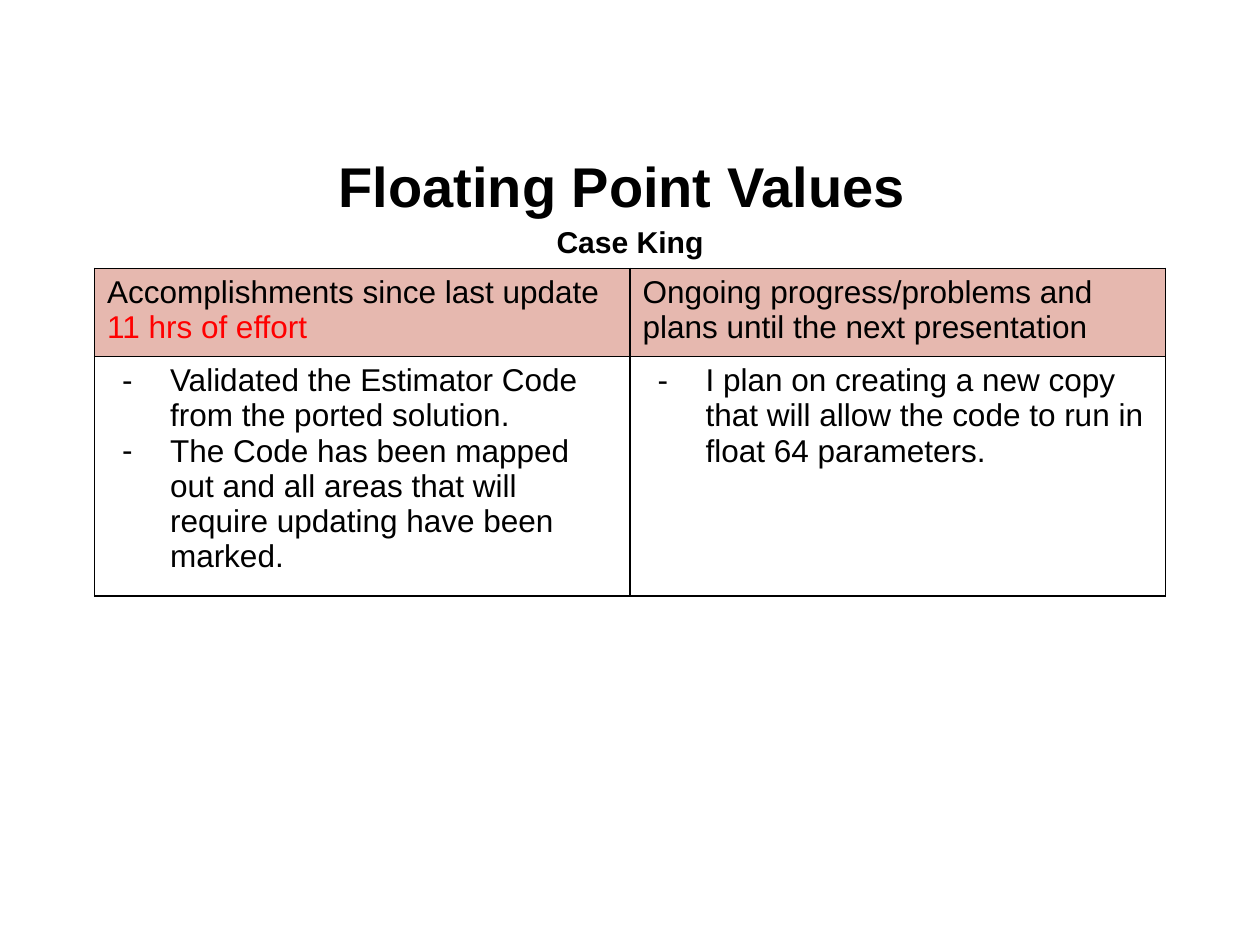
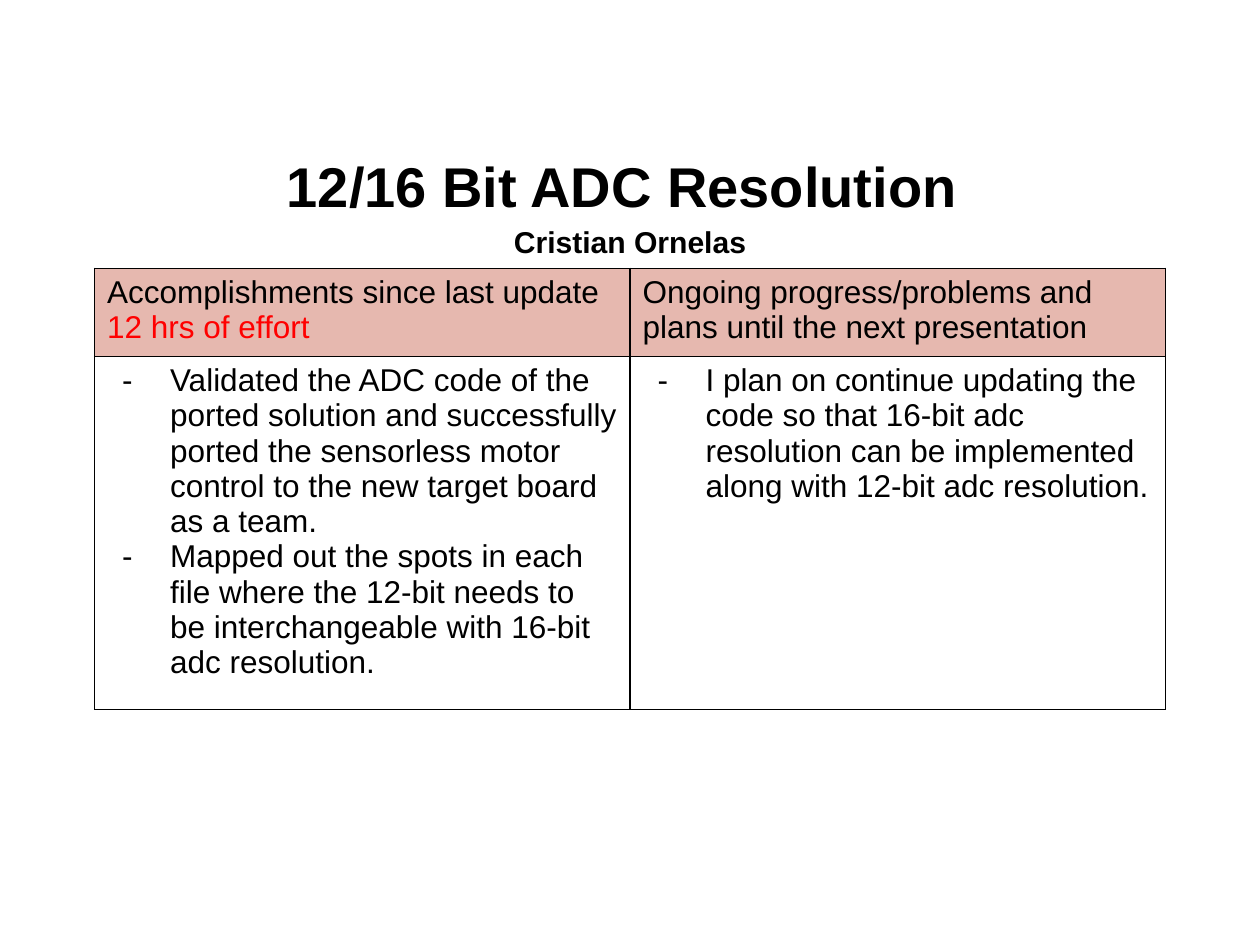
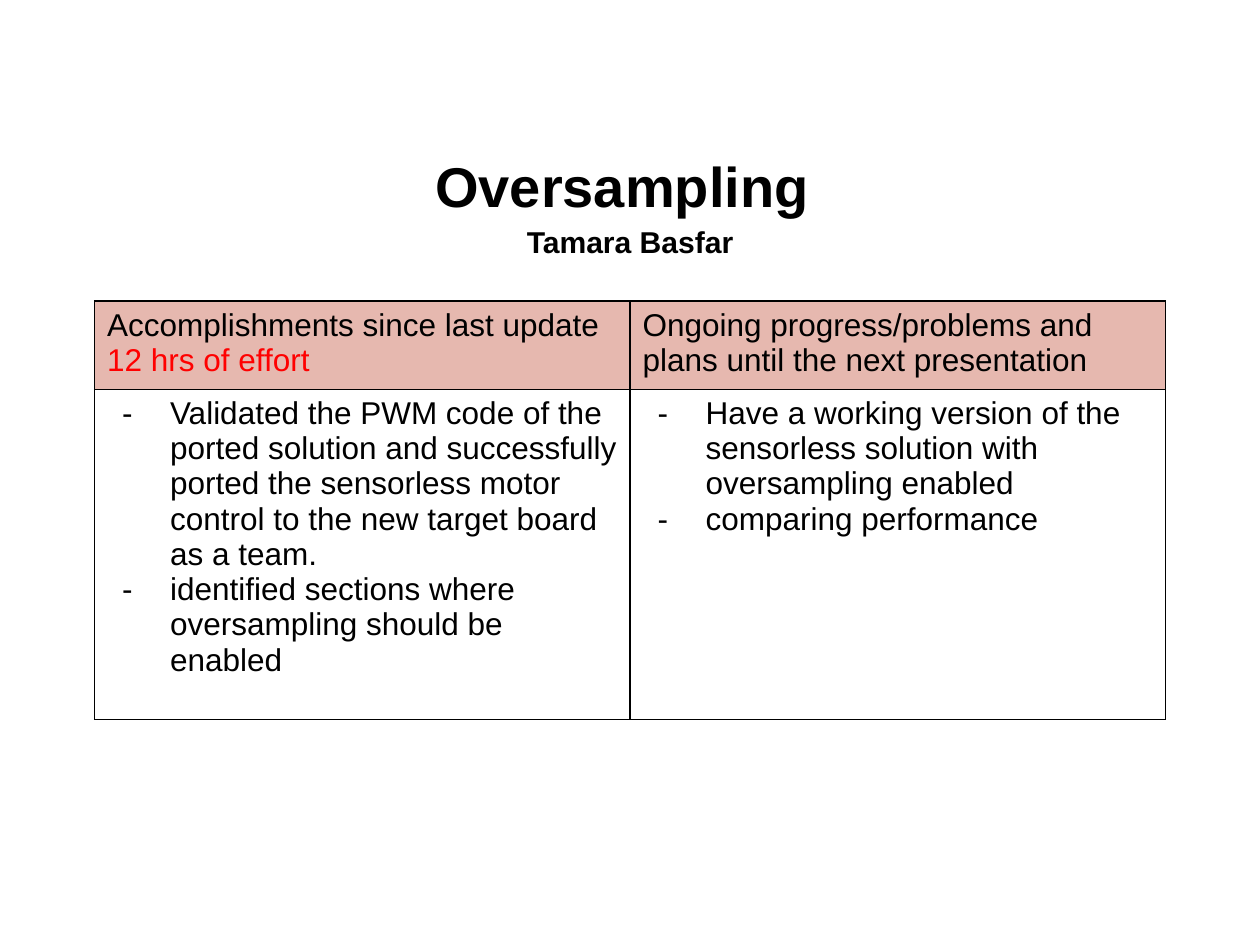
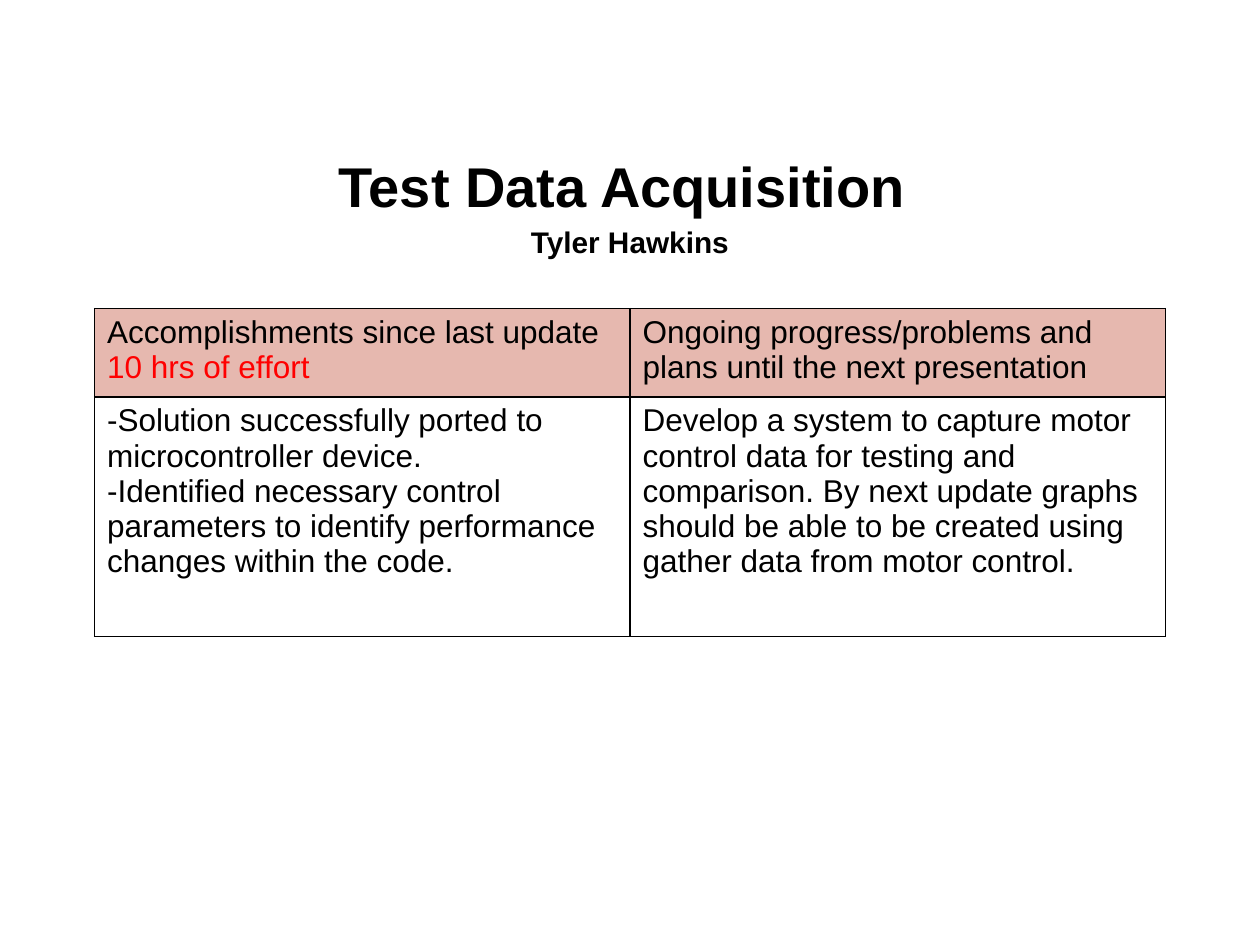
from dataclasses import dataclass

from lxml import etree
from pptx import Presentation
from pptx.dml.color import RGBColor
from pptx.enum.text import MSO_ANCHOR, PP_ALIGN
from pptx.oxml.ns import qn
from pptx.util import Inches, Pt

CENTER = PP_ALIGN.CENTER
MIDDLE = MSO_ANCHOR.MIDDLE
BLANK_LAYOUT = 6


@dataclass(frozen=True)
class Theme:
    font: str = "Arial"
    text: str = "000000"
    effort: str = "FF0000"
    header_fill: str = "E6B8AF"
    border: str = "000000"
    title_size: float = 32
    name_size: float = 17.2
    table_size: float = 18
    border_width: float = 1


@dataclass(frozen=True)
class Update:
    title: str
    name: str
    hours: int
    done: tuple
    plans: tuple
    table_top: float = 2.13
    body_height: float = 1.9
    bulleted: bool = True
    name_size: float = Theme.name_size


THEME = Theme()
PLANS_HEADING = "Ongoing progress/problems and plans until the next presentation"

UPDATES = (
    Update(
        "Floating Point Values ", "Case King", 11,
        ("Validated the Estimator Code from the ported solution.",
         "The Code has been mapped out and all areas that will require "
         "updating have been marked."),
        ("I plan on creating a new copy that will allow the code to run in "
         "float 64 parameters.",),
    ),
    Update(
        "12/16 Bit ADC Resolution ", "Cristian Ornelas", 12,
        ("Validated the ADC code of the ported solution and successfully "
         "ported the sensorless motor control to the new target board as a team.",
         "Mapped out the spots in each file where the 12-bit needs to be "
         "interchangeable with 16-bit adc resolution."),
        ("I plan on continue updating the code so that 16-bit adc resolution "
         "can be implemented along with 12-bit adc resolution.",),
    ),
    Update(
        "Oversampling ", "Tamara Basfar", 12,
        ("Validated the PWM code of the ported solution and successfully "
         "ported the sensorless motor control to the new target board as a team.",
         "identified sections where oversampling should be enabled"),
        ("Have a working version of the sensorless solution with "
         "oversampling enabled",
         "comparing performance"),
        table_top=2.39, body_height=2.62,
    ),
    Update(
        "Test Data Acquisition ", "Tyler Hawkins", 10,
        ("-Solution successfully ported to microcontroller device.",
         "-Identified necessary control parameters to identify performance "
         "changes within the code."),
        ("Develop a system to capture motor control data for testing and "
         "comparison. By next update graphs should be able to be created "
         "using gather data from motor control.",),
        table_top=2.45, bulleted=False, name_size=17,
    ),
)


def set_attributes(target, values):
    for name, value in values.items():
        setattr(target, name, value)


def add_run(paragraph, text, size, color=THEME.text, bold=False):
    run = paragraph.add_run()
    run.text = text
    set_attributes(run.font, {"name": THEME.font, "size": Pt(size), "bold": bold})
    run.font.color.rgb = RGBColor.from_string(color)


def add_color(parent, color):
    etree.SubElement(parent, qn("a:srgbClr"), val=color)


def add_dash(paragraph):
    properties = paragraph._p.get_or_add_pPr()
    properties.set("marL", str(Inches(0.5)))
    properties.set("indent", str(Inches(-0.38)))
    add_color(etree.SubElement(properties, qn("a:buClr")), THEME.text)
    etree.SubElement(properties, qn("a:buFont"), typeface=THEME.font)
    etree.SubElement(properties, qn("a:buChar"), char="-")


def add_heading(slide, update):
    shape = slide.shapes.add_textbox(Inches(0.5), Inches(1.15), Inches(9), Inches(0.88))
    frame = shape.text_frame
    set_attributes(frame, {"word_wrap": True, "vertical_anchor": MIDDLE})
    lines = ((update.title, THEME.title_size), (update.name, update.name_size))
    for index, (text, size) in enumerate(lines):
        paragraph = frame.add_paragraph() if index else frame.paragraphs[0]
        set_attributes(paragraph, {"alignment": CENTER, "line_spacing": 1.15})
        add_run(paragraph, text, size, bold=True)


def add_borders(cell):
    properties = cell._tc.get_or_add_tcPr()
    for side in ("lnL", "lnR", "lnT", "lnB"):
        line = etree.SubElement(properties, qn(f"a:{side}"), w=str(Pt(THEME.border_width)))
        add_color(etree.SubElement(line, qn("a:solidFill")), THEME.border)


def fill_header(cell, runs):
    cell.fill.solid()
    cell.fill.fore_color.rgb = RGBColor.from_string(THEME.header_fill)
    for text, color in runs:
        add_run(cell.text_frame.paragraphs[0], text, THEME.table_size, color)


def fill_body(cell, items, bulleted):
    cell.fill.background()
    frame = cell.text_frame
    for index, text in enumerate(items):
        paragraph = frame.add_paragraph() if index else frame.paragraphs[0]
        if bulleted:
            add_dash(paragraph)
        add_run(paragraph, text, THEME.table_size)


def add_update_table(slide, update):
    heights = (0.7, update.body_height)
    table = slide.shapes.add_table(
        2, 2, Inches(0.75), Inches(update.table_top), Inches(8.5), Inches(sum(heights))
    ).table
    set_attributes(table, {"first_row": False, "horz_banding": False})
    for row, height in zip(table.rows, heights):
        row.height = Inches(height)
    for cell in table.iter_cells():
        add_borders(cell)
    headers = (
        (("Accomplishments since last update ", THEME.text),
         (f"{update.hours} hrs of effort", THEME.effort)),
        ((PLANS_HEADING, THEME.text),),
    )
    for column, (runs, items) in enumerate(zip(headers, (update.done, update.plans))):
        fill_header(table.cell(0, column), runs)
        fill_body(table.cell(1, column), items, update.bulleted)


def main():
    presentation = Presentation()
    set_attributes(presentation, {"slide_width": Inches(10), "slide_height": Inches(7.5)})
    for update in UPDATES:
        slide = presentation.slides.add_slide(presentation.slide_layouts[BLANK_LAYOUT])
        add_heading(slide, update)
        add_update_table(slide, update)
    presentation.save("out.pptx")


if __name__ == "__main__":
    main()
